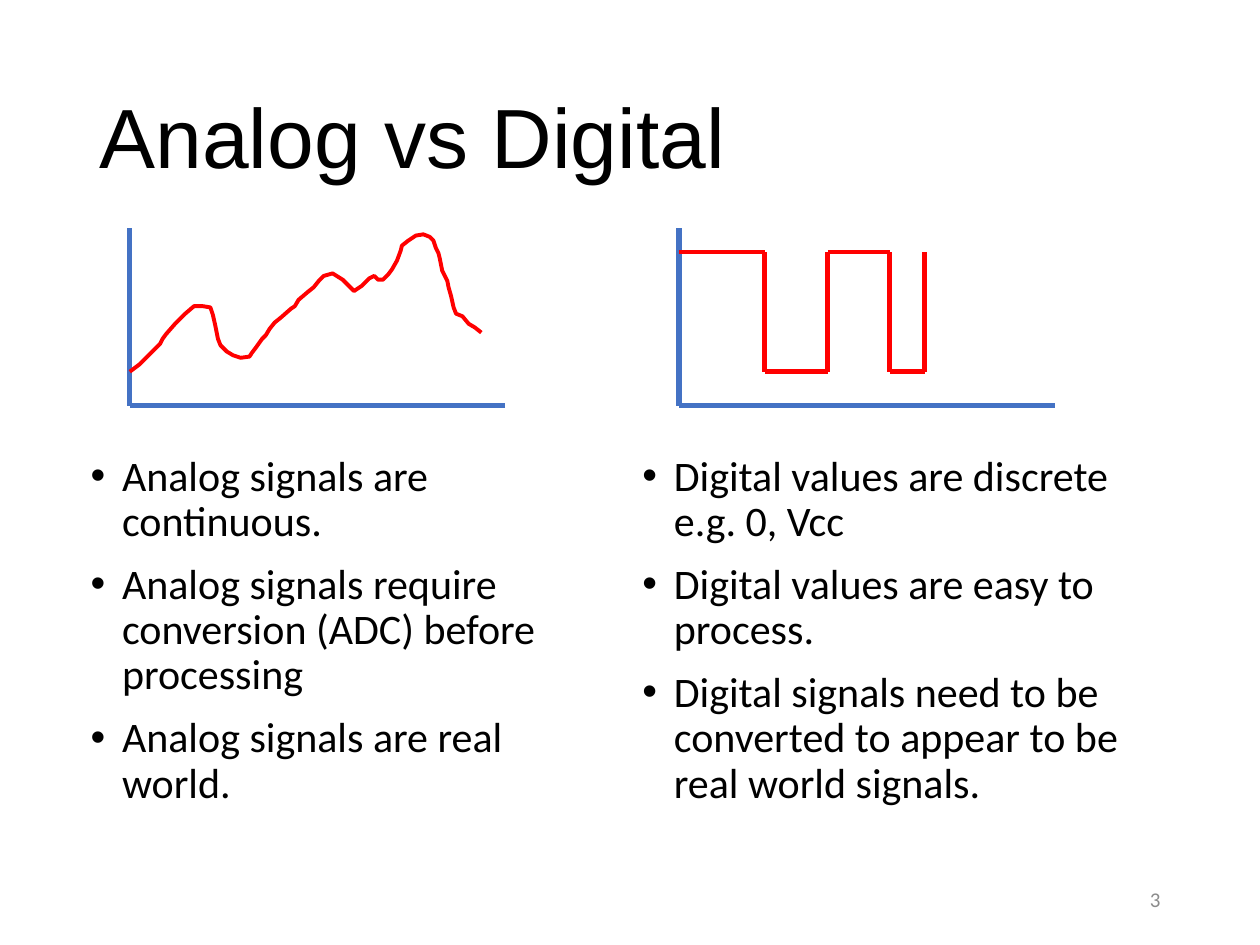
"""Build a slide that sets a continuous analog signal beside a stepped digital one."""
from itertools import cycle, pairwise

from lxml.etree import SubElement
from pptx import Presentation
from pptx.dml.color import RGBColor
from pptx.enum.shapes import MSO_CONNECTOR
from pptx.enum.text import MSO_ANCHOR, MSO_AUTO_SIZE, PP_ALIGN
from pptx.oxml.ns import qn
from pptx.util import Inches, Pt

COLORS = {"text": "000000", "number": "8C8C8C", "axis": "4472C4", "signal": "FF0000"}

deck = Presentation()
deck.slide_width, deck.slide_height = Inches(10), Inches(7.5)
column, row = deck.slide_width / 100, deck.slide_height / 75
page = deck.slides.add_slide(deck.slide_layouts[5])


def write(box, area, lines, size, font, color, align, anchor):
    left, top, width, height = area
    box.left, box.top = round(left * column), round(top * row)
    box.width, box.height = round(width * column), round(height * row)
    frame = box.text_frame
    frame.word_wrap = True
    frame.auto_size = MSO_AUTO_SIZE.NONE
    frame.vertical_anchor = anchor
    frame.text = "\n".join(lines)
    for para in frame.paragraphs:
        para.alignment = align
        para.line_spacing = 0.9
        for span in para.runs:
            span.font.size = Pt(size)
            span.font.name = font
            span.font.color.rgb = RGBColor.from_string(COLORS[color])


def draw_line(start, end, color, width):
    ends = [round(share * unit) for point in (start, end) for share, unit in zip(point, (column, row))]
    line = page.shapes.add_connector(MSO_CONNECTOR.STRAIGHT, *ends)
    line.line.color.rgb = RGBColor.from_string(COLORS[color])
    line.line.width = Pt(width)
    SubElement(line._element.spPr, qn("a:effectLst"))


title_area = (6.9, 4, 86.2, 14.5)
write(page.shapes.title, title_area, ["Analog vs Digital"], 48, "Arial", "text",
      PP_ALIGN.LEFT, MSO_ANCHOR.MIDDLE)

number_area = (70.6, 69.5, 22.5, 4)
write(page.shapes.add_textbox(0, 0, 0, 0), number_area, ["3"], 12, "Calibri", "number",
      PP_ALIGN.RIGHT, MSO_ANCHOR.MIDDLE)

axis_top, axis_bottom, axis_length = 18.1, 32.2, 29.8
list_top, list_width, list_height = 35.6, 42.5, 33
analog = {
    "axis_left": 10.3,
    "list_left": 6.2,
    "points": [
        "Analog signals are continuous.",
        "Analog signals require conversion (ADC) before processing",
        "Analog signals are real world.",
    ],
}
digital = {
    "axis_left": 53.9,
    "list_left": 50,
    "points": [
        "Digital values are discrete e.g. 0, Vcc",
        "Digital values are easy to process.",
        "Digital signals need to be converted to appear to be real world signals.",
    ],
}

for panel in (analog, digital):
    corner = (panel["axis_left"], axis_bottom)
    draw_line((panel["axis_left"], axis_top), corner, "axis", 3)
    draw_line((panel["axis_left"] + axis_length, axis_bottom), corner, "axis", 3)

    box = page.shapes.add_textbox(0, 0, 0, 0)
    list_area = (panel["list_left"], list_top, list_width, list_height)
    write(box, list_area, panel["points"], 24, "Calibri", "text", PP_ALIGN.LEFT, MSO_ANCHOR.TOP)
    for para in box.text_frame.paragraphs:
        para.space_before = Pt(10)
        properties = para._p.get_or_add_pPr()
        properties.set("marL", str(Inches(0.25)))
        properties.set("indent", str(-Inches(0.25)))
        SubElement(properties, qn("a:buFont")).set("typeface", "Arial")
        SubElement(properties, qn("a:buChar")).set("char", "•")

wave_stages = {
    "first rise": [(0, 2.7), (0.8, 3.3), (2.1, 4.6), (2.4, 4.9), (2.6, 5.3), (2.9, 5.7),
                   (3.6, 6.5), (4.4, 7.3), (5.1, 7.9), (5.8, 7.9), (6.4, 7.8)],
    "first fall": [(6.6, 7.2), (6.8, 6.3), (7, 5.3), (7.2, 4.8), (7.7, 4.3), (8.2, 4),
                   (8.8, 3.8), (9.5, 3.9)],
    "long rise": [(9.7, 4.2), (10, 4.6), (10.5, 5.3), (10.8, 5.6), (11.1, 6.1), (11.5, 6.6),
                  (12, 7), (12.8, 7.7), (13.1, 7.9), (13.4, 8.4), (14.1, 9), (14.6, 9.4),
                  (15, 9.9), (15.4, 10.3), (16.1, 10.5)],
    "dip": [(16.9, 10), (17.8, 9.1), (18.4, 9.5), (19, 10.1), (19.4, 10.3), (19.7, 10),
            (20.1, 10)],
    "peak": [(20.5, 10.4), (20.8, 10.8), (21.2, 11.5), (21.5, 12.3), (21.6, 12.7),
             (22.1, 13.1), (22.7, 13.5), (23.3, 13.6), (23.8, 13.4), (24.1, 13.1)],
    "last fall": [(24.3, 12.5), (24.5, 12.1), (24.6, 11.7), (24.8, 10.7), (25.2, 9.9),
                  (25.3, 9.4), (25.5, 8.7), (25.7, 7.8), (25.9, 7.3), (26.4, 7.1),
                  (26.9, 6.5), (27.4, 6.2), (27.9, 5.8)],
}
wave = [
    (round((analog["axis_left"] + time) * column), round((axis_bottom - strength) * row))
    for stage in wave_stages.values()
    for time, strength in stage
]
builder = page.shapes.build_freeform(*wave[0])
builder.add_line_segments(wave[1:], close=False)
curve = builder.convert_to_shape()
curve.shadow.inherit = False
curve.fill.background()
curve.line.color.rgb = RGBColor.from_string(COLORS["signal"])
curve.line.width = Pt(2.25)

high, low = 20, 29.5
switch_positions = [digital["axis_left"], 60.7, 65.7, 70.6, 73.4]
for (start, end), level in zip(pairwise(switch_positions), cycle((high, low))):
    draw_line((start, level), (end, level), "signal", 2.75)
    draw_line((end, high), (end, low), "signal", 2.75)

deck.save("out.pptx")
